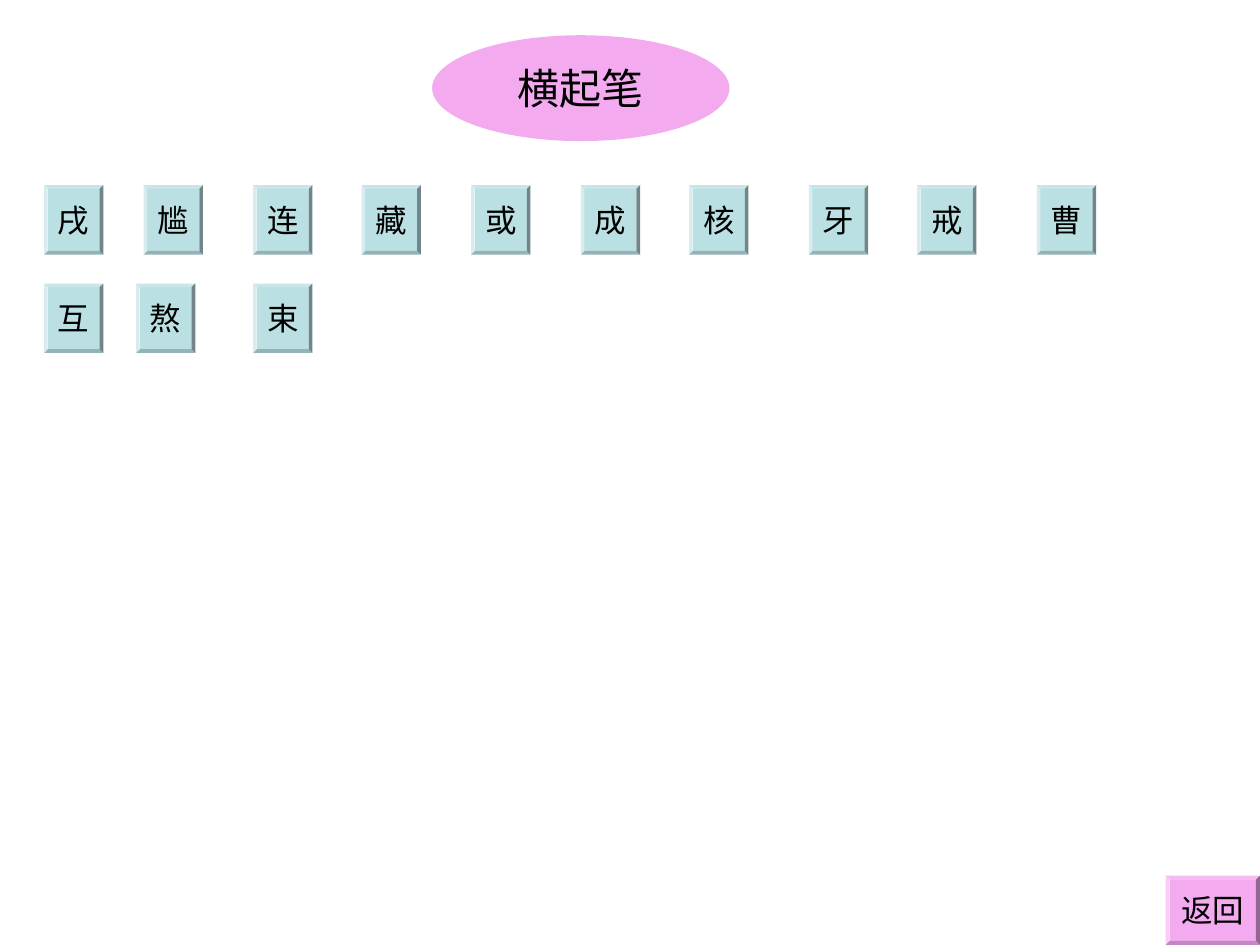
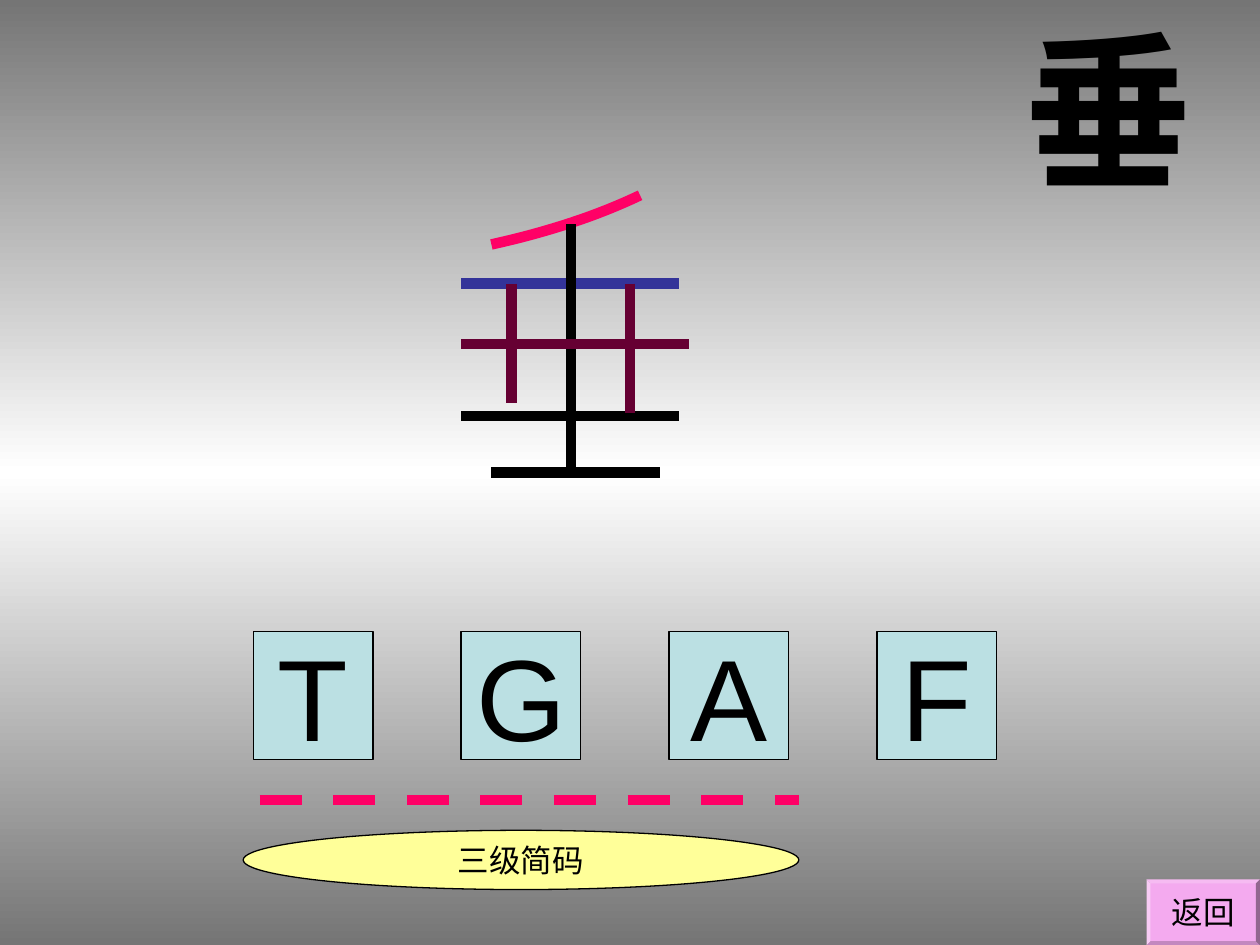
import dataclasses

import lxml.etree
import pptx
import pptx.dml.color
import pptx.enum.dml
import pptx.enum.shapes
import pptx.enum.text
import pptx.oxml
import pptx.oxml.ns
import pptx.util

Inches = pptx.util.Inches
SHAPE = pptx.enum.shapes.MSO_SHAPE


@dataclasses.dataclass(frozen=True)
class Theme:
    font: str = "Arial"
    ink: str = "000000"
    key: str = "BBE0E3"
    accent: str = "F4AAEF"
    note: str = "FFFF99"
    left_fall: str = "FF0066"
    top_bar: str = "333399"
    grass: str = "660033"
    shade: tuple = ("757575", "FFFFFF", "757575")
    label_size: int = 18
    title_size: int = 24
    letter_size: int = 66
    headword_size: int = 96
    outline: float = 0.75
    stroke: int = 6
    bevel: float = 0.06


class Deck:
    """Hold the theme and the current slide, and draw each kind of element."""

    def __init__(self, theme):
        self.theme = theme
        self.deck = pptx.Presentation()
        self.deck.slide_width = Inches(10)
        self.deck.slide_height = Inches(7.5)
        self.slide = None

    def new_slide(self):
        self.slide = self.deck.slides.add_slide(self.deck.slide_layouts[6])

    def rgb(self, color):
        return pptx.dml.color.RGBColor.from_string(color)

    def shade_background(self):
        fill = self.slide.background.fill
        fill.gradient()
        fill.gradient_angle = 90
        stop_list = self.slide.element.find(".//" + pptx.oxml.ns.qn("a:gsLst"))
        lxml.etree.SubElement(stop_list, pptx.oxml.ns.qn("a:gs"), pos="100000")
        for stop, position, color in zip(fill.gradient_stops, (0, 0.5, 1), self.theme.shade):
            stop.position = position
            stop.color.rgb = self.rgb(color)

    def set_text(self, frame, text, size, bold=False):
        frame.text = text
        font = frame.paragraphs[0].runs[0].font
        font.name = self.theme.font
        font.size = pptx.util.Pt(size)
        font.bold = bold
        font.color.rgb = self.rgb(self.theme.ink)

    def block(self, preset, box, fill, text, size, outlined=False):
        block = self.slide.shapes.add_shape(preset, *map(Inches, box))
        block.shadow.inherit = False
        block.fill.solid()
        block.fill.fore_color.rgb = self.rgb(fill)
        if outlined:
            block.line.color.rgb = self.rgb(self.theme.ink)
            block.line.width = pptx.util.Pt(self.theme.outline)
        else:
            block.line.fill.background()
        self.set_text(block.text_frame, text, size)
        block.text_frame.word_wrap = False
        block.text_frame.vertical_anchor = pptx.enum.text.MSO_ANCHOR.MIDDLE
        block.text_frame.paragraphs[0].alignment = pptx.enum.text.PP_ALIGN.CENTER
        return block

    def button(self, box, fill, text):
        button = self.block(SHAPE.BEVEL, box, fill, text, self.theme.label_size)
        button.adjustments[0] = self.theme.bevel

    def back_button(self, width, height):
        self.button((10 - width, 7.5 - height, width, height), self.theme.accent, "返回")

    def headword(self, box, text):
        headword = self.slide.shapes.add_textbox(*map(Inches, box))
        headword.text_frame.word_wrap = True
        self.set_text(headword.text_frame, text, self.theme.headword_size, bold=True)

    def stroke(self, start, end, color, dashed=False):
        stroke = self.slide.shapes.add_connector(
            pptx.enum.shapes.MSO_CONNECTOR.STRAIGHT, *map(Inches, start + end))
        stroke.line.color.rgb = self.rgb(color)
        stroke.line.width = pptx.util.Pt(self.theme.stroke)
        if dashed:
            stroke.line.dash_style = pptx.enum.dml.MSO_LINE.DASH
        lxml.etree.SubElement(stroke.element.spPr, pptx.oxml.ns.qn("a:effectLst"))

    def curve(self, start, control, end, color, steps=16):
        points = []
        for step in range(steps + 1):
            t = step / steps
            points.append(tuple(
                Inches((1 - t) ** 2 * a + 2 * t * (1 - t) * b + t ** 2 * c)
                for a, b, c in zip(start, control, end)))
        builder = self.slide.shapes.build_freeform(*points[0])
        builder.add_line_segments(points[1:], close=False)
        curve = builder.convert_to_shape()
        curve.shadow.inherit = False
        curve.fill.background()
        curve.line.color.rgb = self.rgb(color)
        curve.line.width = pptx.util.Pt(self.theme.stroke)


def character_index(deck):
    theme = deck.theme
    deck.new_slide()
    deck.block(SHAPE.OVAL, (3.43, 0.28, 2.36, 0.84), theme.accent, "横起笔", theme.title_size)
    rows = (
        (1.47, "戌尴连藏或成核牙戒曹",
         (0.35, 1.14, 2.01, 2.87, 3.74, 4.61, 5.47, 6.42, 7.28, 8.23)),
        (2.25, "互熬束", (0.35, 1.08, 2.01)),
    )
    for top, characters, lefts in rows:
        for character, left in zip(characters, lefts):
            deck.button((left, top, 0.47, 0.55), theme.key, character)
    deck.back_button(0.75, 0.55)


def character_breakdown(deck):
    theme = deck.theme
    deck.new_slide()
    deck.shade_background()
    deck.headword((8.03, 0, 1.97, 1.7), "垂")
    for column, letter in enumerate("TGAF"):
        deck.block(SHAPE.RECTANGLE, (2.01 + 1.65 * column, 5.01, 0.95, 1.02),
                   theme.key, letter, theme.letter_size, outlined=True)
    deck.stroke((2.06, 6.35), (6.34, 6.35), theme.left_fall, dashed=True)
    deck.block(SHAPE.OVAL, (1.93, 6.59, 4.41, 0.47), theme.note, "三级简码",
               theme.label_size, outlined=True)
    deck.back_button(0.9, 0.52)
    deck.curve((5.08, 1.55), (4.58, 1.79), (3.9, 1.94), theme.left_fall)
    strokes = (
        ((3.66, 2.25), (5.39, 2.25), theme.top_bar),
        ((3.66, 3.3), (5.39, 3.3), theme.ink),
        ((3.9, 3.75), (5.24, 3.75), theme.ink),
        ((4.53, 1.78), (4.53, 3.75), theme.ink),
        ((3.66, 2.73), (5.47, 2.73), theme.grass),
        ((4.06, 2.25), (4.06, 3.2), theme.grass),
        ((5, 2.25), (5, 3.28), theme.grass),
    )
    for start, end, color in strokes:
        deck.stroke(start, end, color)


def main():
    deck = Deck(Theme())
    character_index(deck)
    character_breakdown(deck)
    deck.deck.save("out.pptx")


if __name__ == "__main__":
    main()
